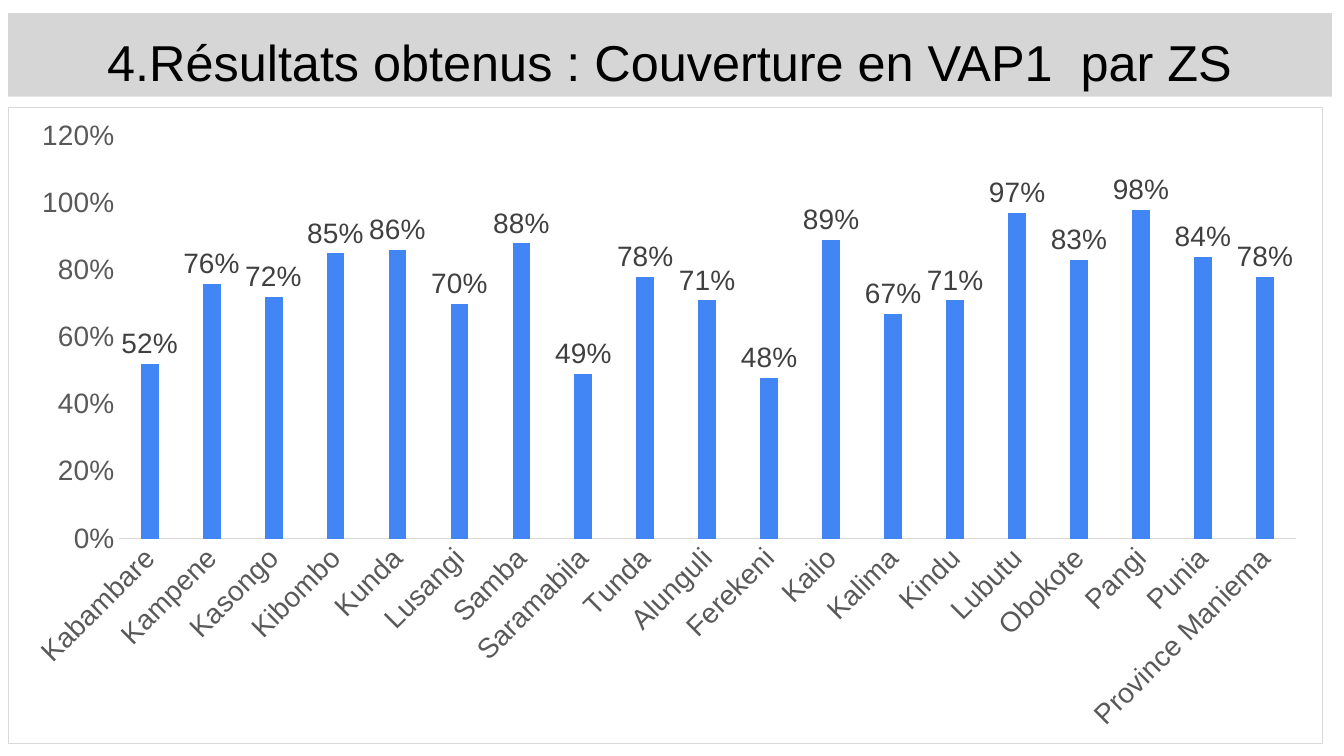
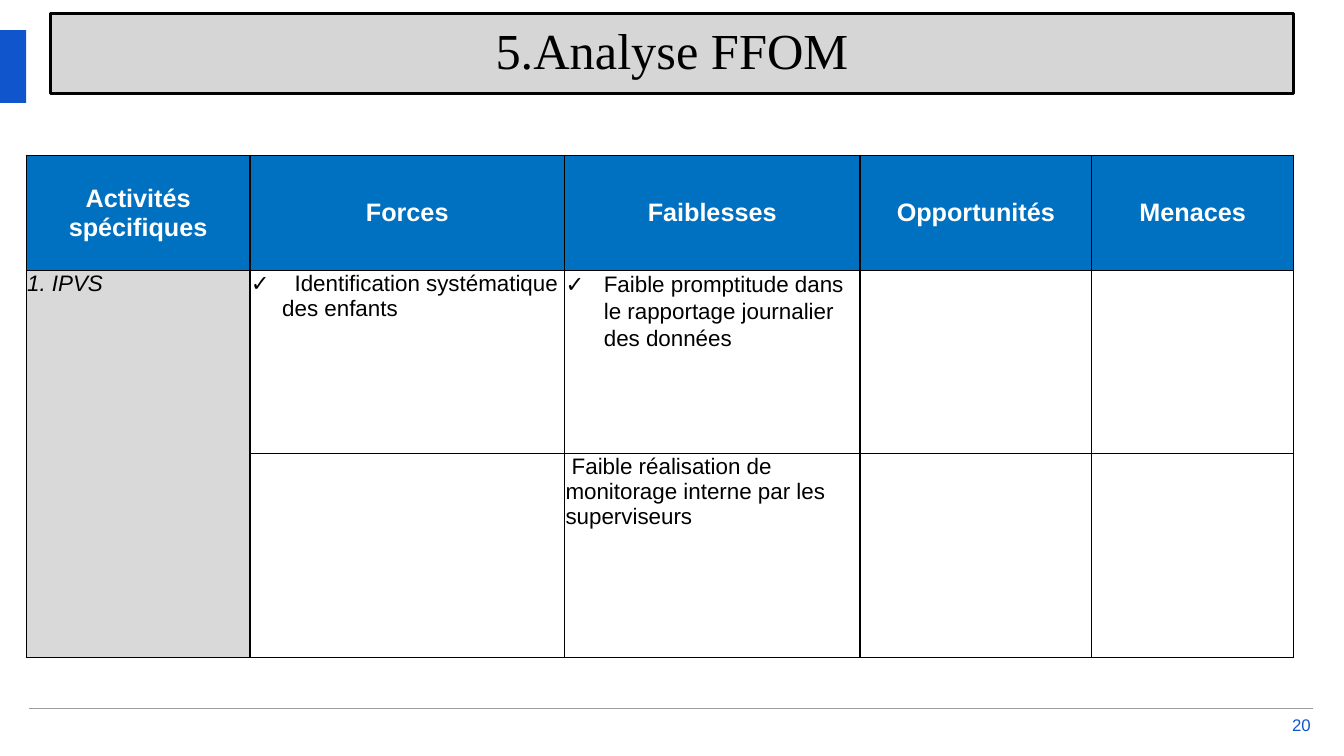
from lxml import etree
from pptx import Presentation
from pptx.chart.data import CategoryChartData
from pptx.dml.color import RGBColor
from pptx.enum.chart import XL_CHART_TYPE as ChartType
from pptx.enum.chart import XL_LABEL_POSITION as LabelPosition
from pptx.enum.chart import XL_TICK_MARK as TickMark
from pptx.enum.shapes import MSO_CONNECTOR as Connector
from pptx.enum.shapes import MSO_SHAPE as Shape
from pptx.enum.text import MSO_ANCHOR as Anchor
from pptx.enum.text import MSO_AUTO_SIZE as AutoSize
from pptx.enum.text import PP_ALIGN as Align
from pptx.oxml import parse_xml
from pptx.oxml.ns import nsdecls, qn
from pptx.util import Inches, Pt

COLORS = {
    "ink": "000000",
    "paper": "FFFFFF",
    "band": "D6D6D6",
    "accent": "1155CC",
    "rule": "9E9E9E",
    "header": "0070C0",
    "activity": "D9D9D9",
    "bar": "4285F4",
    "axis_text": "595959",
    "axis_line": "D9D9D9",
    "label": "404040",
}
SANS, SERIF = "Arial", "Times New Roman"
WIDTH, HEIGHT = 13.33, 7.5
BAND_TOP = 0.13
TITLE_ONLY = 5
CHECK = "✓"

COVERAGE = {
    "Kabambare": 0.52, "Kampene": 0.76, "Kasongo": 0.72, "Kibombo": 0.85,
    "Kunda": 0.86, "Lusangi": 0.7, "Samba": 0.88, "Saramabila": 0.49,
    "Tunda": 0.78, "Alunguli": 0.71, "Ferekeni": 0.48, "Kailo": 0.89,
    "Kalima": 0.67, "Kindu": 0.71, "Lubutu": 0.97, "Obokote": 0.83,
    "Pangi": 0.98, "Punia": 0.84, "Province Maniema": 0.78,
}
HEADINGS = ["Activités spécifiques", "Forces", "Faiblesses",
            "Opportunités", "Menaces"]
COLUMN_WIDTHS = [2.22, 3.12, 2.93, 2.3, 2]
ROW_HEIGHTS = [1.14, 1.82, 2.02]
# (row, column): text and its format
ENTRIES = {
    (1, 0): ("1. IPVS", {"italic": True}),
    (1, 1): ("  Identification systématique des enfants",
             {"bullet": CHECK, "indent": 0.31}),
    (1, 2): ("Faible promptitude dans le rapportage journalier des données",
             {"bullet": CHECK, "indent": 0.38, "spacing": 1.07}),
    (2, 2): (" Faible réalisation de monitorage interne par les superviseurs",
             {}),
}


def color(name):
    return RGBColor.from_string(COLORS[name])


def inches(*lengths):
    return [Inches(length) for length in lengths]


def paint(shape, fill, line=None, width=1):
    shape.fill.solid()
    shape.fill.fore_color.rgb = color(fill)
    if line:
        shape.line.color.rgb = color(line)
        shape.line.width = Pt(width)
    else:
        shape.line.fill.background()


def style_font(font, size, ink, name=SANS, bold=False, italic=False):
    font.size, font.name = Pt(size), name
    font.bold, font.italic = bold, italic
    font.color.rgb = color(ink)


def add_bullet(para, mark, indent):
    props = para._p.get_or_add_pPr()
    props.set("marL", str(Inches(indent)))
    props.set("indent", str(-Inches(indent)))
    bullet_color = etree.SubElement(props, qn("a:buClr"))
    etree.SubElement(bullet_color, qn("a:srgbClr"), val=COLORS["ink"])
    etree.SubElement(props, qn("a:buFont"), typeface=SANS)
    etree.SubElement(props, qn("a:buChar"), char=mark)


def write(frame, text, size=16, ink="ink", font=SANS, bold=False,
          italic=False, align=Align.LEFT, bullet=None, indent=0, spacing=None):
    para = frame.paragraphs[0]
    if bullet:
        add_bullet(para, bullet, indent)
    para.alignment = align
    if spacing:
        para.line_spacing = spacing
    span = para.add_run()
    span.text = text
    style_font(span.font, size, ink, font, bold, italic)


def set_margins(holder, left, top, right, bottom):
    holder.margin_left, holder.margin_top = inches(left, top)
    holder.margin_right, holder.margin_bottom = inches(right, bottom)


def add_titled_page(deck, text, left, width, height, margins,
                    font=SANS, line=None):
    """Add a page whose title sits in a grey band."""
    page = deck.slides.add_slide(deck.slide_layouts[TITLE_ONLY])
    title = page.shapes.title
    title.left, title.top, title.width, title.height = inches(
        left, BAND_TOP, width, height)
    paint(title, "band", line, 2.25)
    frame = title.text_frame
    frame.auto_size = AutoSize.NONE
    frame.vertical_anchor = Anchor.TOP
    set_margins(frame, *margins)
    write(frame, text, size=36, font=font, align=Align.CENTER)
    return page


def style_axis(axis):
    axis.has_major_gridlines = False
    axis.major_tick_mark = axis.minor_tick_mark = TickMark.NONE
    style_font(axis.tick_labels.font, 20, "axis_text")


def frame_chart(chart):
    """Give the whole chart area a white fill and a thin border."""
    area = parse_xml(
        f'<c:spPr {nsdecls("c", "a")}>'
        f'<a:solidFill><a:srgbClr val="{COLORS["paper"]}"/></a:solidFill>'
        f'<a:ln w="{Pt(0.75)}"><a:solidFill>'
        f'<a:srgbClr val="{COLORS["axis_line"]}"/></a:solidFill></a:ln>'
        '</c:spPr>')
    chart._chartSpace.find(qn("c:chart")).addnext(area)


def add_coverage_chart(page):
    data = CategoryChartData(number_format="0%")
    data.categories = list(COVERAGE)
    data.add_series("Series 1", list(COVERAGE.values()))
    chart = page.shapes.add_chart(
        ChartType.COLUMN_CLUSTERED, *inches(0.08, 1.06, 13.04, 6.32),
        data).chart
    chart.has_title = chart.has_legend = False
    style_font(chart.font, 20, "ink")
    frame_chart(chart)

    names, values = chart.category_axis, chart.value_axis
    for axis in (names, values):
        style_axis(axis)
    names.format.line.color.rgb = color("axis_line")
    names.format.line.width = Pt(0.75)
    names._element.find(qn("c:txPr")).find(qn("a:bodyPr")).set(
        "rot", str(-45 * 60000))
    values.format.line.fill.background()
    values.minimum_scale, values.maximum_scale = 0, 1.2
    values.major_unit = 0.2
    values.tick_labels.number_format = "0%"
    values.tick_labels.number_format_is_linked = False

    plot = chart.plots[0]
    plot.gap_width, plot.overlap = 246, -28
    plot.vary_by_categories = False
    bars = plot.series[0]
    bars.format.fill.solid()
    bars.format.fill.fore_color.rgb = color("bar")
    labels = bars.data_labels
    labels.show_value = True
    labels.position = LabelPosition.OUTSIDE_END
    labels.number_format, labels.number_format_is_linked = "0%", False
    style_font(labels.font, 20, "label")


def add_page_frame(page, number):
    """Add the side mark, the footer rule and the page number."""
    mark = page.shapes.add_shape(
        Shape.RECTANGLE, *inches(0, HEIGHT * 0.04, 0.26, 0.72))
    mark.shadow.inherit = False
    paint(mark, "accent")

    rule = page.shapes.add_connector(
        Connector.STRAIGHT, *inches(0.29, 7.03, 13.02, 7.03))
    rule.line.color.rgb = color("rule")
    rule.line.width = Pt(1)
    etree.SubElement(rule._element.spPr, qn("a:effectLst"))

    frame = page.shapes.add_textbox(
        *inches(12.75, 7.1, 0.25, 0.18)).text_frame
    frame.word_wrap = True
    frame.vertical_anchor = Anchor.MIDDLE
    set_margins(frame, 0, 0, 0, 0)
    write(frame, number, size=12, ink="accent", align=Align.RIGHT)


def outline_cell(cell):
    props = cell._tc.get_or_add_tcPr()
    for index, side in enumerate(("lnL", "lnR", "lnT", "lnB")):
        props.insert(index, parse_xml(
            f'<a:{side} {nsdecls("a")} w="{Pt(1)}"><a:solidFill>'
            f'<a:srgbClr val="{COLORS["ink"]}"/></a:solidFill></a:{side}>'))


def add_analysis_table(page):
    table = page.shapes.add_table(
        len(ROW_HEIGHTS), len(COLUMN_WIDTHS),
        *inches(0.26, 1.54, sum(COLUMN_WIDTHS), sum(ROW_HEIGHTS))).table
    table.first_row = table.horz_banding = False
    for column, width in zip(table.columns, COLUMN_WIDTHS):
        column.width = Inches(width)
    for row, height in zip(table.rows, ROW_HEIGHTS):
        row.height = Inches(height)
    table.cell(1, 0).merge(table.cell(2, 0))

    for r in range(len(ROW_HEIGHTS)):
        for c, heading in enumerate(HEADINGS):
            cell = table.cell(r, c)
            set_margins(cell, 0.01, 0.01, 0.01, 0)
            cell.fill.solid()
            fill = "header" if r == 0 else "paper" if c else "activity"
            cell.fill.fore_color.rgb = color(fill)
            outline_cell(cell)
            if r == 0:
                cell.vertical_anchor = Anchor.MIDDLE
                write(cell.text_frame, heading, size=18, ink="paper",
                      bold=True, align=Align.CENTER)
            elif (r, c) in ENTRIES:
                text, look = ENTRIES[r, c]
                write(cell.text_frame, text, **look)


def main():
    deck = Presentation()
    deck.slide_width, deck.slide_height = inches(WIDTH, HEIGHT)

    coverage = add_titled_page(
        deck, "4.Résultats obtenus : Couverture en VAP1  par ZS",
        0.08, 13.13, 0.83, (0.13, 0.18, 0.13, 0.05))
    add_coverage_chart(coverage)

    analysis = add_titled_page(
        deck, "5.Analyse FFOM", 0.5, 12.33, 0.8, (0, 0.06, 0, 0),
        font=SERIF, line="ink")
    add_page_frame(analysis, "20")
    add_analysis_table(analysis)

    deck.save("out.pptx")


if __name__ == "__main__":
    main()
